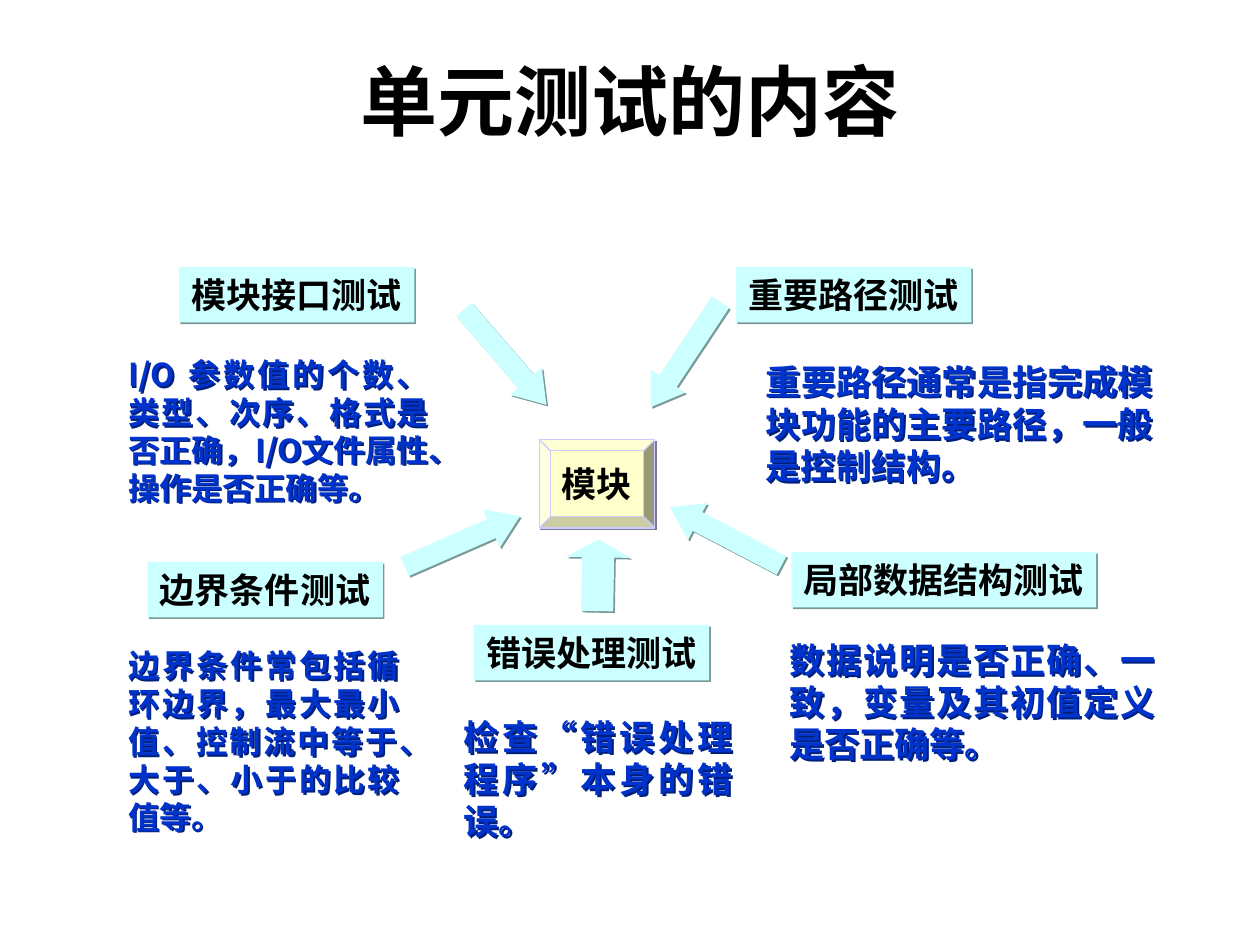
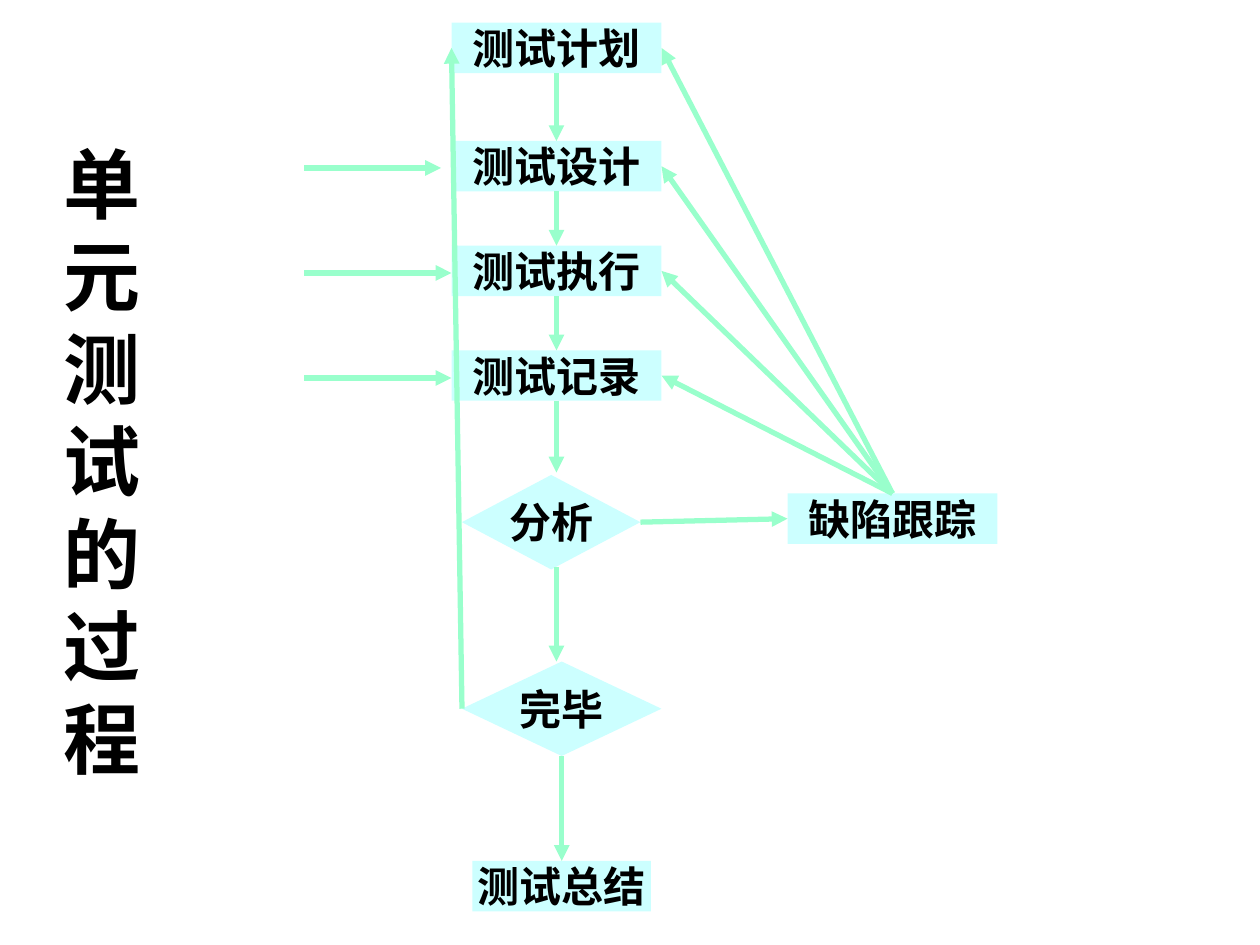
from lxml.etree import SubElement
from pptx import Presentation
from pptx.dml.color import RGBColor
from pptx.enum.shapes import MSO_CONNECTOR as Conn, MSO_SHAPE as Shape
from pptx.enum.text import MSO_ANCHOR as Anchor, MSO_AUTO_SIZE as Fit, PP_ALIGN as Align
from pptx.oxml.ns import qn
from pptx.util import Pt

BLACK = RGBColor(0x00, 0x00, 0x00)
BLUE = RGBColor(0x00, 0x33, 0xCC)
CYAN = RGBColor(0xCC, 0xFF, 0xFF)
CREAM = RGBColor(0xFF, 0xFF, 0xCC)
LILAC = RGBColor(0xCC, 0xCC, 0xFF)
MINT = RGBColor(0x99, 0xFF, 0xCC)
TEAL = RGBColor(0x7A, 0x99, 0x99)
SLATE = RGBColor(0x7A, 0x7A, 0x99)
NAVY = RGBColor(0x00, 0x1F, 0x7A)

SERIF = "Times New Roman"
SANS = "Noto Sans CJK SC"
TOP, LEFT, BOTTOM, RIGHT = range(4)
LEADING = 1.2


def write(shape, text, size, color=BLACK, face=SERIF, align=Align.CENTER,
          anchor=Anchor.MIDDLE, wrap=True, pads=(7.2, 3.6)):
    frame = shape.text_frame
    frame.text = text
    frame.auto_size = Fit.NONE
    frame.word_wrap = wrap
    frame.vertical_anchor = anchor
    frame.margin_left = frame.margin_right = Pt(pads[0])
    frame.margin_top = frame.margin_bottom = Pt(pads[1])
    para = frame.paragraphs[0]
    para.alignment = align
    para.line_spacing = Pt(round(size * LEADING, 1))
    run = para.runs[0]
    font = run.font
    font.size, font.bold, font.name = Pt(size), True, face
    font.color.rgb = color
    SubElement(font._element, qn("a:ea"), typeface=SANS)


def cast(shape, color):
    effects = SubElement(shape._element.spPr, qn("a:effectLst"))
    shade = SubElement(effects, qn("a:outerShdw"), dist=str(Pt(1.4)),
                       dir="2700000", algn="ctr", rotWithShape="0")
    SubElement(shade, qn("a:srgbClr"), val=str(color))


def add_block(slide, kind, box, fill=CYAN, line=None, shade=None):
    shape = slide.shapes.add_shape(kind, *map(Pt, box))
    shape.fill.solid()
    shape.fill.fore_color.rgb = fill
    if line is None:
        shape.line.fill.background()
    else:
        shape.line.color.rgb = line
        shape.line.width = Pt(0.75)
    if shade is None:
        shape.shadow.inherit = False
    else:
        cast(shape, shade)
    return shape


def add_label(slide, text, left, top, width=134.6):
    label = add_block(slide, Shape.RECTANGLE, (left, top, width, 31.7), shade=TEAL)
    write(label, text, 20, face=SANS, wrap=False)


def add_arrow(slide, left, top, angle, width=72, height=23.8, head=0.75):
    arrow = add_block(slide, Shape.RIGHT_ARROW, (left, top, width, height), shade=TEAL)
    arrow.adjustments[1] = head
    arrow.rotation = angle


def add_note(slide, text, box, size=20):
    note = slide.shapes.add_textbox(*map(Pt, box))
    cast(note, NAVY)
    write(note, text, size, BLUE, SANS, Align.JUSTIFY)


def add_step(slide, text, left, top, width=120):
    step = add_block(slide, Shape.RECTANGLE, (left, top, width, 28.8))
    write(step, text, 24, anchor=Anchor.TOP, pads=(0, 0))
    return step


def add_choice(slide, text, left, top, width):
    choice = add_block(slide, Shape.DIAMOND, (left, top, width, 54))
    write(choice, text, 24, wrap=False, pads=(0, 0))
    return choice


def add_link(slide, start, end):
    ends = [(0, 0) if hasattr(tip[0], "shape_id") else tip for tip in (start, end)]
    link = slide.shapes.add_connector(Conn.STRAIGHT, *map(Pt, ends[0] + ends[1]))
    if hasattr(start[0], "shape_id"):
        link.begin_connect(*start)
    if hasattr(end[0], "shape_id"):
        link.end_connect(*end)
    link.line.color.rgb = MINT
    link.line.width = Pt(3)
    SubElement(link.line._get_or_add_ln(), qn("a:tailEnd"), type="triangle")
    SubElement(link._element.spPr, qn("a:effectLst"))


def add_page(deck, text, box):
    slide = deck.slides.add_slide(deck.slide_layouts[5])
    title = slide.shapes.title
    title.left, title.top, title.width, title.height = map(Pt, box)
    write(title, text, 44)
    return slide


def build_scope(deck):
    slide = add_page(deck, "单元测试的内容", (54, 12.2, 612, 90))
    module = add_block(slide, Shape.BEVEL, (308.2, 251.3, 66, 50.4), CREAM, LILAC, SLATE)
    write(module, "模块", 20, wrap=False)
    for label in (
        ("模块接口测试", 102.2, 152.6),
        ("局部数据结构测试", 452.2, 315.4, 174.2),
        ("重要路径测试", 420.5, 152.6),
        ("错误处理测试", 270.7, 357.1),
        ("边界条件测试", 84.2, 321.1),
    ):
        add_label(slide, *label)
    for arrow in (
        (252.7, 192.2, 49.2),
        (228.2, 297.4, 336.4),
        (378.7, 294.5, 207.6),
        (321.1, 310.3, 271, 41, 36.7, 0.28),
        (355.7, 190.8, 123.6),
    ):
        add_arrow(slide, *arrow)
    for note in (
        ("I/O 参数值的个数、类型、次序、格式是否正确，I/O文件属性、操作是否正确等。",
         (66.2, 199.4, 185.8, 93.6), 18),
        ("数据说明是否正确、一致，变量及其初值定义是否正确等。",
         (444.2, 361.4, 223.2, 79.2)),
        ("检查“错误处理程序”本身的错误。", (257.8, 405.4, 167.8, 79.2)),
        ("边界条件常包括循环边界，最大最小值、控制流中等于、大于、小于的比较值等。",
         (66.2, 365.8, 169.2, 115.2), 18),
        ("重要路径通常是指完成模块功能的主要路径，一般是控制结构。",
         (430.6, 202.3, 235.4, 79.2)),
    ):
        add_note(slide, *note)


def build_flow(deck):
    slide = add_page(deck, "单元测试的过程", (25.2, 25.9, 66.2, 473.8))
    names = ("测试计划", "测试设计", "测试执行", "测试记录")
    steps = [add_step(slide, name, 258, top)
             for name, top in zip(names, (13, 80.6, 140.4, 200.2))]
    defect = add_step(slide, "缺陷跟踪", 450, 282)
    report = add_step(slide, "测试总结", 270, 492, 102)
    study = add_choice(slide, "分析", 264, 271.4, 102)
    done = add_choice(slide, "完毕", 264, 378, 114)

    for prior, later in zip(steps, steps[1:]):
        add_link(slide, (prior, BOTTOM), (later, TOP))
    add_link(slide, (steps[-1], BOTTOM), (318, 270))
    add_link(slide, (study, RIGHT), (defect, LEFT))
    add_link(slide, (318, 324), (318, 378))
    add_link(slide, (done, BOTTOM), (report, TOP))
    add_link(slide, (done, LEFT), (steps[0], LEFT))
    for row, tip in enumerate((252, 258, 258)):
        level = 96 + 60 * row
        add_link(slide, (174, level), (tip, level))
    for step in steps:
        add_link(slide, (defect, TOP), (step, RIGHT))


def main():
    deck = Presentation()
    deck.slide_width, deck.slide_height = Pt(720), Pt(540)
    build_scope(deck)
    build_flow(deck)
    deck.save("out.pptx")


if __name__ == "__main__":
    main()
